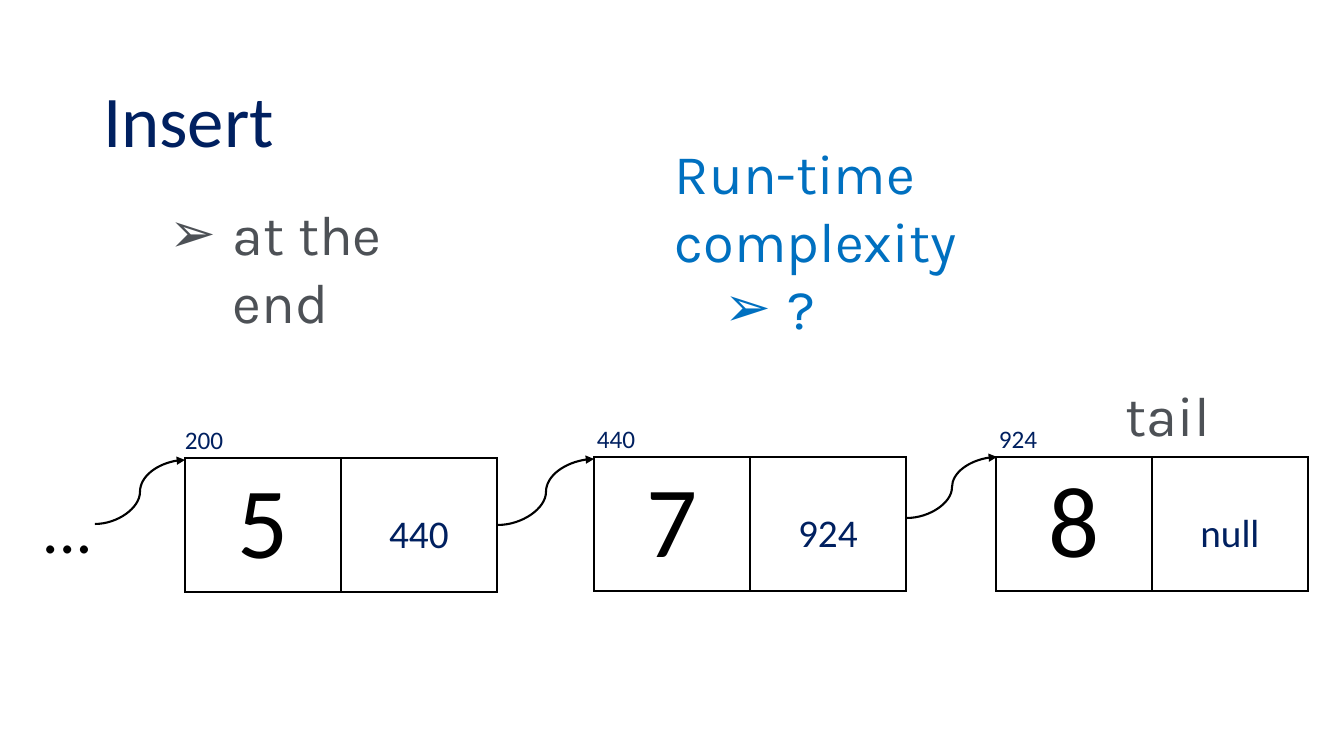
from dataclasses import dataclass

from lxml.etree import SubElement
from pptx import Presentation
from pptx.dml.color import RGBColor as RGB
from pptx.enum.shapes import MSO_CONNECTOR as Link
from pptx.enum.text import MSO_ANCHOR as Anchor, MSO_AUTO_SIZE as Fit, PP_ALIGN as Align
from pptx.oxml.ns import qn
from pptx.util import Pt

# Content: places are left, top, width, height in px
TITLE = ("Insert", (93, 61, 1159, 125))
NODES = [  # value, next address, own address, left, top, label left
    ("5", "440", "200", 185, 458, 159),
    ("7", "924", "440", 594, 457, 571),
    ("8", "null", "924", 996, 457, 973),
]
ARROWS = [(95, 524, 185, 460), (498, 525, 594, 459), (907, 518, 997, 457)]
END = ([("at the end", True)], (110, 195, 373, 78))
COST = ([("Run-time complexity", False), ("?", True)], (665, 134, 498, 146))
TAIL = ([("tail", False)], (1116, 376, 136, 78))
DOTS = ([("...", False)], (32, 481, 72, 92))

WIDE, HIGH = 1344, 756
CELL_W, CELL_H = 156, 134
LABEL_W, LABEL_H, LABEL_UP = 90, 40, 39
NEXT_TOP = 53
INDENT, HANG = 113, 63


@dataclass
class Theme:
    navy: RGB = RGB(0x00, 0x20, 0x60)
    blue: RGB = RGB(0x00, 0x70, 0xC0)
    gray: RGB = RGB(0x4D, 0x51, 0x56)
    black: RGB = RGB(0, 0, 0)
    head: str = "Calibri"
    body: str = "Karla"
    title: int = 52
    value: int = 72
    dots: int = 48
    text: int = 40
    next: int = 28
    label: int = 18


T = Theme()


def px(n):
    return round(n * 12192000 / WIDE)


def style(para, face, size, color, align=Align.LEFT):
    font = para.font
    font.name, font.size = face, Pt(size)
    font.color.rgb = color
    para.alignment = align


def bullet(para):
    props = para._p.get_or_add_pPr()
    props.set("marL", str(px(INDENT)))
    props.set("indent", str(px(-HANG)))
    SubElement(props, qn("a:buFont")).set("typeface", "Arial")
    SubElement(props, qn("a:buChar")).set("char", "➢")


def add_text(slide, lines, place, face, size, color, align=Align.LEFT, wrap=True):
    frame = slide.shapes.add_textbox(*map(px, place)).text_frame
    frame.word_wrap, frame.auto_size = wrap, Fit.SHAPE_TO_FIT_TEXT
    for i, (text, listed) in enumerate(lines):
        para = frame.add_paragraph() if i else frame.paragraphs[0]
        para.text = text
        style(para, face, size, color, align)
        if listed:
            para.level = 1
            bullet(para)


def border(cell):
    props = cell._tc.get_or_add_tcPr()
    for i, side in enumerate(("lnL", "lnR", "lnT", "lnB")):
        line = props.makeelement(qn("a:" + side), {"w": str(Pt(1))})
        fill = SubElement(line, qn("a:solidFill"))
        SubElement(fill, qn("a:srgbClr")).set("val", str(T.black))
        props.insert(i, line)


def add_node(slide, value, link, own, left, top, label):
    place = map(px, (left, top, 2 * CELL_W, CELL_H))
    table = slide.shapes.add_table(1, 2, *place).table
    table.first_row = table.horz_banding = False
    parts = [(value, T.value, T.black, 5), (link, T.next, T.navy, NEXT_TOP)]
    for col, (text, size, color, gap) in enumerate(parts):
        table.columns[col].width = px(CELL_W)
        cell = table.cell(0, col)
        cell.text = text
        cell.margin_top = px(gap)
        cell.fill.background()
        border(cell)
        style(cell.text_frame.paragraphs[0], T.head, size, color, Align.CENTER)
    add_text(slide, [(own, False)], (label, top - LABEL_UP, LABEL_W, LABEL_H),
             T.head, T.label, T.navy, Align.CENTER)


def add_arrow(slide, ends):
    arrow = slide.shapes.add_connector(Link.CURVE, *map(px, ends))
    arrow.line.color.rgb, arrow.line.width = T.black, Pt(1.5)
    SubElement(arrow.line._get_or_add_ln(), qn("a:tailEnd")).set("type", "triangle")
    SubElement(arrow._element.spPr, qn("a:effectLst"))


def main():
    deck = Presentation()
    deck.slide_width, deck.slide_height = px(WIDE), px(HIGH)
    slide = deck.slides.add_slide(deck.slide_layouts[5])

    # Title
    text, place = TITLE
    title = slide.shapes.title
    title.left, title.top, title.width, title.height = map(px, place)
    title.text_frame.text = text
    title.text_frame.vertical_anchor = Anchor.MIDDLE
    para = title.text_frame.paragraphs[0]
    para.line_spacing = 0.9
    style(para, T.head, T.title, T.navy)

    # Linked list
    for node in NODES:
        add_node(slide, *node)
    for ends in ARROWS:
        add_arrow(slide, ends)
    add_text(slide, *DOTS, T.head, T.dots, T.black, wrap=False)

    # Notes around the list
    for note, color in ((END, T.gray), (COST, T.blue), (TAIL, T.gray)):
        add_text(slide, *note, T.body, T.text, color)

    deck.save("out.pptx")


if __name__ == "__main__":
    main()
